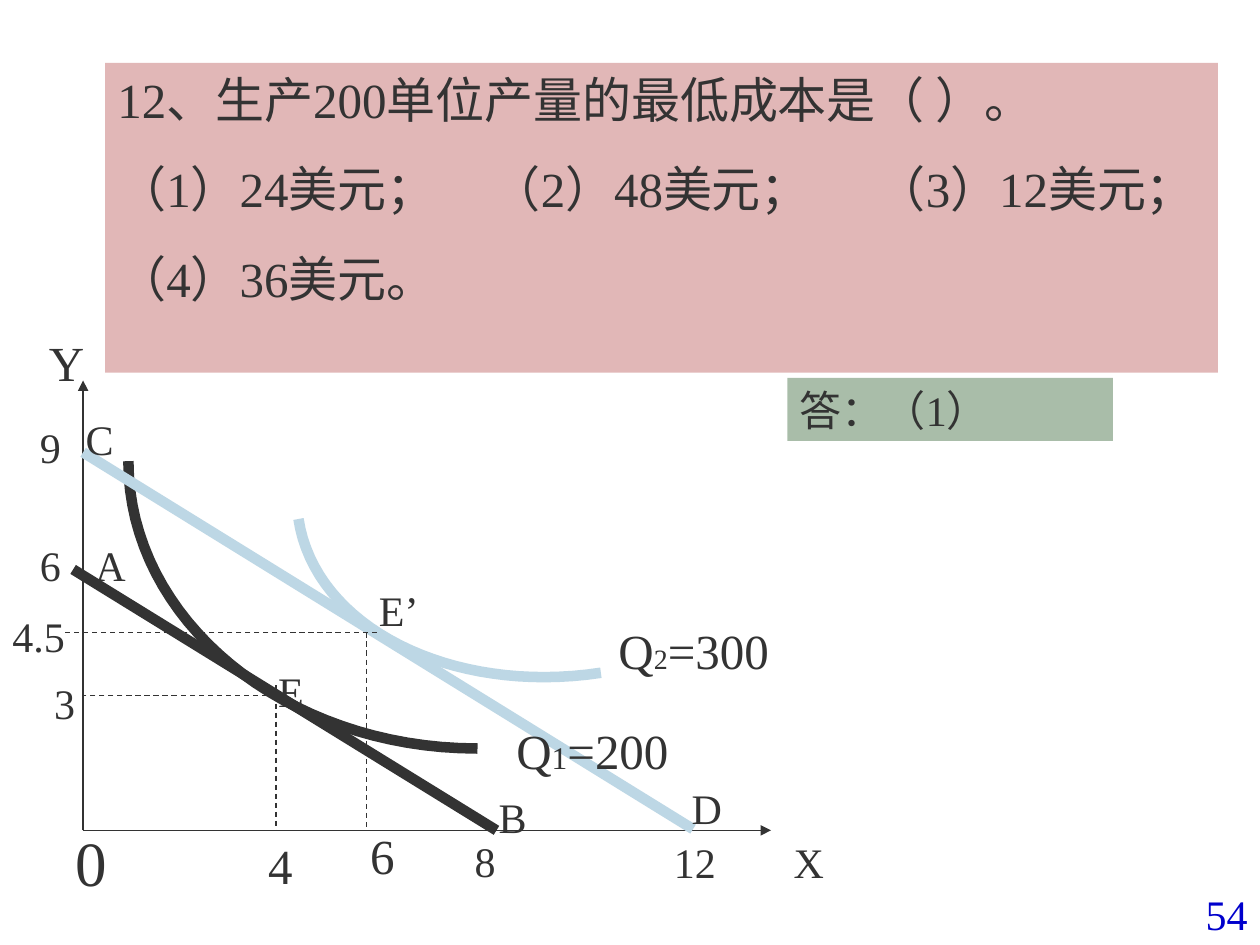
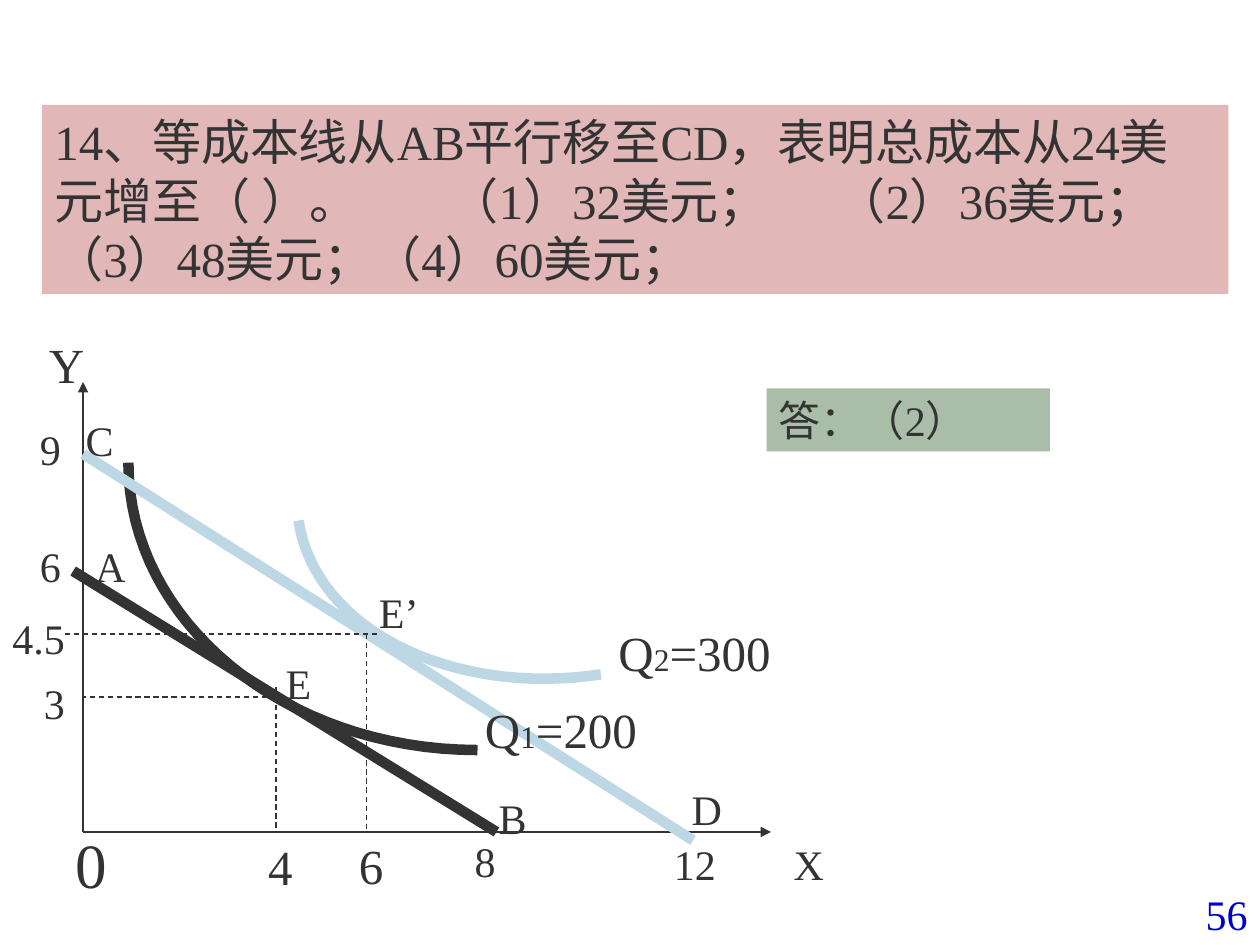
from lxml.etree import SubElement
from pptx import Presentation
from pptx.dml.color import RGBColor
from pptx.enum.dml import MSO_LINE
from pptx.enum.shapes import MSO_CONNECTOR, MSO_SHAPE
from pptx.enum.text import MSO_ANCHOR, PP_ALIGN
from pptx.oxml.ns import qn
from pptx.util import Pt

INK = RGBColor(0x33, 0x33, 0x33)
SKY = RGBColor(0xBD, 0xD7, 0xE5)
ROSE = RGBColor(0xE1, 0xB7, 0xB7)
SAGE = RGBColor(0xA9, 0xBD, 0xA9)
PAGE_BLUE = RGBColor(0x00, 0x00, 0xCC)
FONT = "Times New Roman"
THIN, THICK = 0.75, 6

ORIGIN_X, ORIGIN_Y = 47.5, 474.5
X_END, Y_END = 440.6, 217.4
INPUT_E, INPUT_E2 = 157.7, 209.5
OUTPUT_E, OUTPUT_E2 = 397.4, 361.4
Q1_CURVE = [(272.9, 427.7), (162.7, 427.7), (73.4, 354.2), (73.4, 263.5)]
Q2_CURVE = [(343.4, 384.5), (257.8, 397.4), (180, 358.6), (170.6, 296.6)]

SHARED_LABELS = [
    ("X", 446.4, 474.5, 24), ("Y", 20.9, 186.5, 28),
    ("0", 36, 467.3, 36), ("4", 146.2, 473.8, 28),
    ("12", 378, 474.5, 24), ("A", 47.5, 304.6, 24),
    ("B", 277.9, 448.6, 24), ("C", 41.8, 232.6, 24),
    ("E’", 209.5, 330.5, 24), ("4.5", 0, 345.6, 24),
    ("6", 15.8, 304.6, 24), ("D", 388.1, 443.5, 24),
    ("9", 15.8, 237.6, 24),
]


def write_text(frame, paragraphs, size=24, color=INK, align=PP_ALIGN.LEFT,
               gap=0, tabs=()):
    frame.word_wrap = True
    frame.vertical_anchor = MSO_ANCHOR.TOP
    for index, runs in enumerate(paragraphs):
        paragraph = frame.paragraphs[0] if index == 0 else frame.add_paragraph()
        if tabs:
            tab_list = SubElement(paragraph._p.get_or_add_pPr(), qn("a:tabLst"))
            for position in tabs:
                SubElement(tab_list, qn("a:tab"), pos=str(Pt(position)), algn="l")
        paragraph.alignment = align
        if index:
            paragraph.space_before = Pt(gap)
        for words, run_size in [(runs, size)] if isinstance(runs, str) else runs:
            run = paragraph.add_run()
            run.text = words
            run.font.name = FONT
            run.font.size = Pt(run_size)
            run.font.color.rgb = color


def bezier(controls, steps=32):
    for step in range(steps + 1):
        t = step / steps
        weights = ((1 - t) ** 3, 3 * t * (1 - t) ** 2, 3 * t * t * (1 - t), t ** 3)
        yield tuple(sum(w * point[axis] for w, point in zip(weights, controls))
                    for axis in (0, 1))


class QuizDeck:
    def __init__(self):
        self.deck = Presentation()
        self.deck.slide_width, self.deck.slide_height = Pt(720), Pt(540)
        self.shapes = None
        self.shift = 0

    def new_slide(self, page, shift):
        self.shapes = self.deck.slides.add_slide(self.deck.slide_layouts[6]).shapes
        self.shift = shift
        number = self.shapes.add_textbox(Pt(484.5), Pt(504), Pt(235.5), Pt(36))
        write_text(number.text_frame, [page], color=PAGE_BLUE, align=PP_ALIGN.RIGHT)

    def label(self, runs, left, top, size, width=45):
        holder = self.shapes.add_textbox(
            Pt(left), Pt(top + self.shift), Pt(width), Pt(size * 1.2 + 7.2))
        write_text(holder.text_frame, [runs], size=size)

    def panel(self, paragraphs, bounds, fill, **text_format):
        box = self.shapes.add_shape(MSO_SHAPE.RECTANGLE, *map(Pt, bounds))
        box.shadow.inherit = False
        box.fill.solid()
        box.fill.fore_color.rgb = fill
        box.line.fill.background()
        write_text(box.text_frame, paragraphs, **text_format)

    def line(self, start, end, color=INK, width=THIN, dashed=False, arrow=False):
        stroke = self.shapes.add_connector(
            MSO_CONNECTOR.STRAIGHT,
            Pt(start[0]), Pt(start[1] + self.shift),
            Pt(end[0]), Pt(end[1] + self.shift))
        stroke.line.color.rgb = color
        stroke.line.width = Pt(width)
        if dashed:
            stroke.line.dash_style = MSO_LINE.DASH
        if arrow:
            SubElement(stroke.line._get_or_add_ln(), qn("a:tailEnd"), type="triangle")
        SubElement(stroke._element.spPr, qn("a:effectLst"))

    def curve(self, controls, color):
        first, *rest = [(Pt(x), Pt(y + self.shift)) for x, y in bezier(controls)]
        builder = self.shapes.build_freeform(*first)
        builder.add_line_segments(rest, close=False)
        isoquant = builder.convert_to_shape()
        isoquant.shadow.inherit = False
        isoquant.fill.background()
        isoquant.line.color.rgb = color
        isoquant.line.width = Pt(THICK)

    def cost_graph(self, d_end, q2_subscript, q1_at, labels):
        origin = (ORIGIN_X, ORIGIN_Y)
        self.line(origin, (X_END, ORIGIN_Y), arrow=True)
        self.line(origin, (ORIGIN_X, Y_END), arrow=True)
        self.curve(Q1_CURVE, INK)
        self.line((ORIGIN_X, 258.5), (396, d_end), SKY, THICK)
        self.line((41.8, 325.4), (283.7, ORIGIN_Y), INK, THICK)
        self.curve(Q2_CURVE, SKY)
        for start, end in [
            ((INPUT_E, 391.7), (INPUT_E, ORIGIN_Y)),
            ((INPUT_E, OUTPUT_E), (ORIGIN_X, OUTPUT_E)),
            ((215.3, OUTPUT_E2), (36.7, OUTPUT_E2)),
            ((INPUT_E2, OUTPUT_E2), (INPUT_E2, ORIGIN_Y)),
        ]:
            self.line(start, end, dashed=True)
        self.label([("Q", 28), ("1", 18), ("=200", 28)], *q1_at, 28, width=153)
        self.label([("Q", 28), ("2", q2_subscript), ("=300", 28)],
                   346.3, 351, 28, width=112)
        for entry in SHARED_LABELS + labels:
            self.label(*entry)


def main():
    quiz = QuizDeck()

    quiz.new_slide("54", shift=0)
    quiz.cost_graph(
        d_end=473.8, q2_subscript=16, q1_at=(288, 408.2),
        labels=[("6", 204.5, 468, 28), ("E", 151.9, 376.6, 24),
                ("3", 23.8, 383.8, 24), ("8", 264.2, 473.8, 24)])
    quiz.panel(
        ["12、生产200单位产量的最低成本是（ ）。",
         "（1）24美元；\t（2）48美元；\t（3）12美元；",
         "（4）36美元。"],
        (60, 36, 636, 177), ROSE, size=28, gap=17.5, tabs=(214, 434))
    quiz.panel(["答：（1）"], (450, 216, 186, 36), SAGE)

    quiz.new_slide("56", shift=0.9)
    quiz.cost_graph(
        d_end=479.3, q2_subscript=18, q1_at=(270, 395.1),
        labels=[("6", 198, 472.9, 28), ("E", 156.2, 371.3, 24),
                ("3", 18, 382.9, 24), ("8", 264.2, 472.9, 24)])
    quiz.panel(
        ["14、等成本线从AB平行移至CD，表明总成本从24美元增至（ ）。"
         "\t（1）32美元；\t（2）36美元； （3）48美元；（4）60美元；"],
        (24, 60, 678, 108), ROSE, size=28, tabs=(226, 447))
    quiz.panel(["答：（2）"], (438, 222, 162, 36), SAGE)

    quiz.deck.save("out.pptx")


if __name__ == "__main__":
    main()
